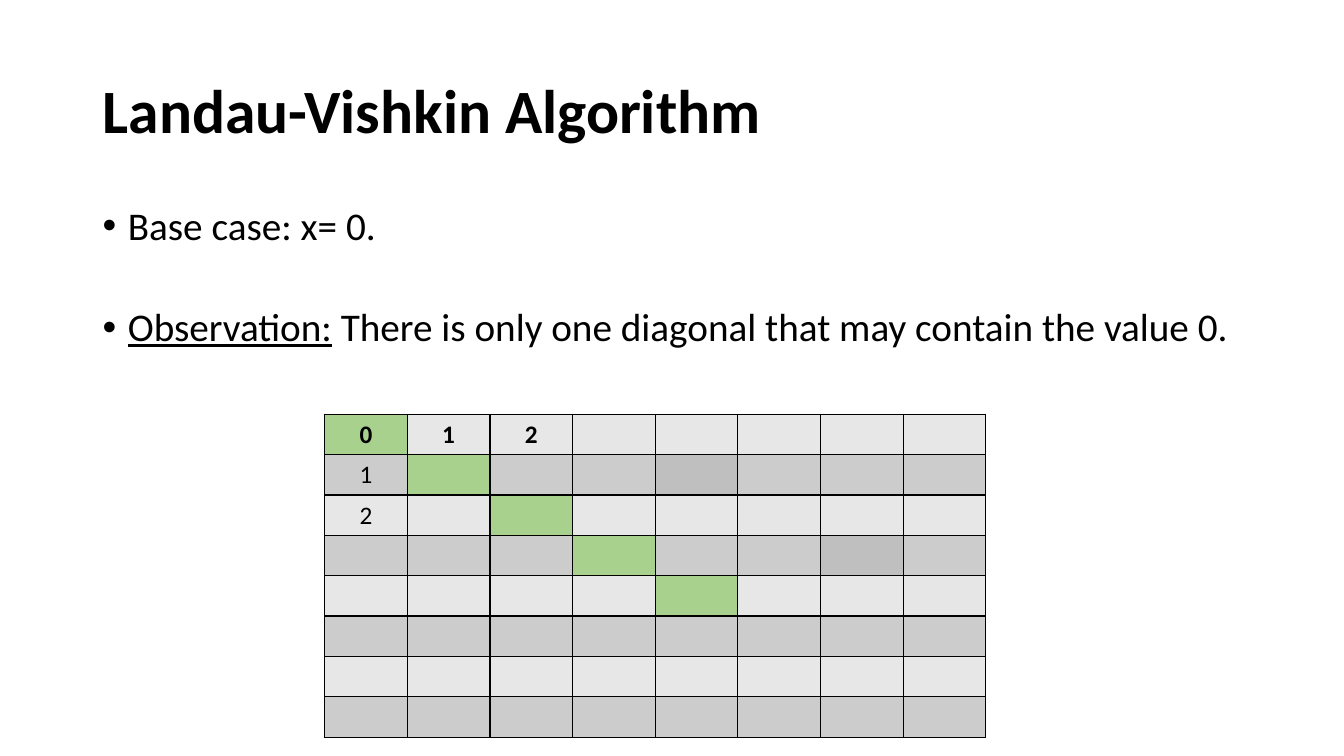
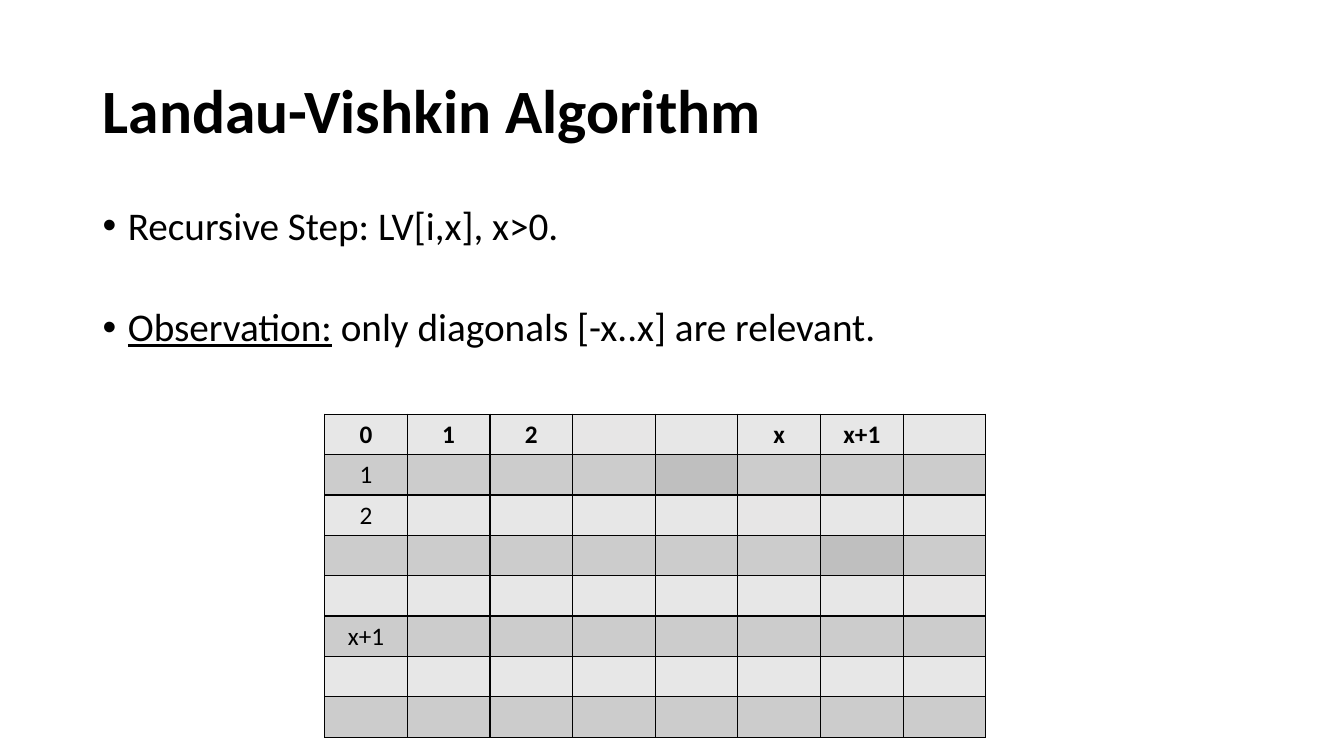
from lxml import etree
from pptx import Presentation
from pptx.dml.color import RGBColor
from pptx.enum.text import MSO_ANCHOR, PP_ALIGN
from pptx.oxml.ns import qn
from pptx.util import Pt

PX = 9144
FONT = "Calibri"
BLACK = RGBColor(0x00, 0x00, 0x00)
GREEN = RGBColor(0xA9, 0xD1, 0x8E)
BANDS = (RGBColor(0xE7, 0xE7, 0xE7), RGBColor(0xCC, 0xCC, 0xCC))
TINTED_BANDS = (RGBColor(0xE7, 0xE6, 0xE6), RGBColor(0xBF, 0xBF, 0xBF))
TOP, MIDDLE = MSO_ANCHOR.TOP, MSO_ANCHOR.MIDDLE
CENTER = PP_ALIGN.CENTER

TITLE = "Landau-Vishkin Algorithm"
TITLE_BOX = (92, 40, 1150, 145)
BODY_BOX = (92, 200, 1150, 476)
GRID_BOX = (322, 411, 656, 320)
GRID_SIZE = 8
TINTED_OFFSET = 3
TINTED_ROWS = 5
BULLET_INDENT = 25

PAGES = [
    {
        "statement": "Base case: x= 0.",
        "observation": " There is only one diagonal that may contain the value 0.",
        "labels": {(0, 0): "0", (0, 1): "1", (0, 2): "2", (1, 0): "1", (2, 0): "2"},
        "green_count": 5,
    },
    {
        "statement": "Recursive Step: LV[i,x], x>0.",
        "observation": " only diagonals [-x..x] are relevant.",
        "labels": {(0, 0): "0", (0, 1): "1", (0, 2): "2", (0, 5): "x", (0, 6): "x+1",
                   (1, 0): "1", (2, 0): "2", (5, 0): "x+1"},
        "green_count": 0,
    },
]


def emu(box):
    """Turn px lengths into EMU."""
    return [length * PX for length in box]


def add_span(para, text, size=28, bold=False, underline=False):
    """Append a formatted run to a paragraph."""
    span = para.add_run()
    span.text = text
    span.font.name = FONT
    span.font.size = Pt(size)
    span.font.bold = bold
    span.font.underline = underline
    span.font.color.rgb = BLACK


def add_text_frame(page, box, anchor):
    """Add a wrapping text box and return its frame."""
    frame = page.shapes.add_textbox(*emu(box)).text_frame
    frame.word_wrap = True
    frame.vertical_anchor = anchor
    return frame


def add_title(page, box, text):
    """Place the bold slide title."""
    para = add_text_frame(page, box, MIDDLE).paragraphs[0]
    para.line_spacing = 0.9
    add_span(para, text, size=44, bold=True)


def format_bullet(para, space_before):
    """Give a paragraph a hanging bullet and its spacing."""
    para.line_spacing = 0.9
    para.space_before = Pt(space_before)
    properties = para._p.get_or_add_pPr()
    properties.set("marL", str(BULLET_INDENT * PX))
    properties.set("indent", str(-BULLET_INDENT * PX))
    etree.SubElement(properties, qn("a:buFont"), typeface="Arial")
    etree.SubElement(properties, qn("a:buChar"), char="•")


def add_body(page, box, statement, observation):
    """Place the statement and the observation as bullets."""
    frame = add_text_frame(page, box, TOP)
    para = frame.paragraphs[0]
    format_bullet(para, space_before=10)
    add_span(para, statement)
    para = frame.add_paragraph()
    format_bullet(para, space_before=42)
    add_span(para, "Observation:", underline=True)
    add_span(para, observation)


def add_borders(cell):
    """Draw a thin black line on every side of a cell."""
    properties = cell._tc.get_or_add_tcPr()
    for side in ("a:lnL", "a:lnR", "a:lnT", "a:lnB"):
        line = etree.SubElement(properties, qn(side), w=str(Pt(1)))
        fill = etree.SubElement(line, qn("a:solidFill"))
        etree.SubElement(fill, qn("a:srgbClr"), val=str(BLACK))


def cell_color(row, column, green_count):
    """Choose the fill from the cell's diagonal and row band."""
    if row == column and row < green_count:
        return GREEN
    tinted = column - row == TINTED_OFFSET and row < TINTED_ROWS
    return (TINTED_BANDS if tinted else BANDS)[row % 2]


def add_grid(page, box, labels, green_count):
    """Place the square matrix with its labels and diagonals."""
    table = page.shapes.add_table(GRID_SIZE, GRID_SIZE, *emu(box)).table
    for row in range(GRID_SIZE):
        for column in range(GRID_SIZE):
            cell = table.cell(row, column)
            add_borders(cell)
            cell.fill.solid()
            cell.fill.fore_color.rgb = cell_color(row, column, green_count)
            if (row, column) in labels:
                para = cell.text_frame.paragraphs[0]
                para.alignment = CENTER
                add_span(para, labels[row, column], size=18, bold=row == 0)


def add_page(deck, statement, observation, labels, green_count):
    """Build one slide with title, bullets and matrix."""
    page = deck.slides.add_slide(deck.slide_layouts[6])
    add_title(page, TITLE_BOX, TITLE)
    add_body(page, BODY_BOX, statement, observation)
    add_grid(page, GRID_BOX, labels, green_count)


def main():
    """Build and save the deck."""
    deck = Presentation()
    deck.slide_width, deck.slide_height = emu((1333, 750))
    for content in PAGES:
        add_page(deck, **content)
    deck.save("out.pptx")


if __name__ == "__main__":
    main()
